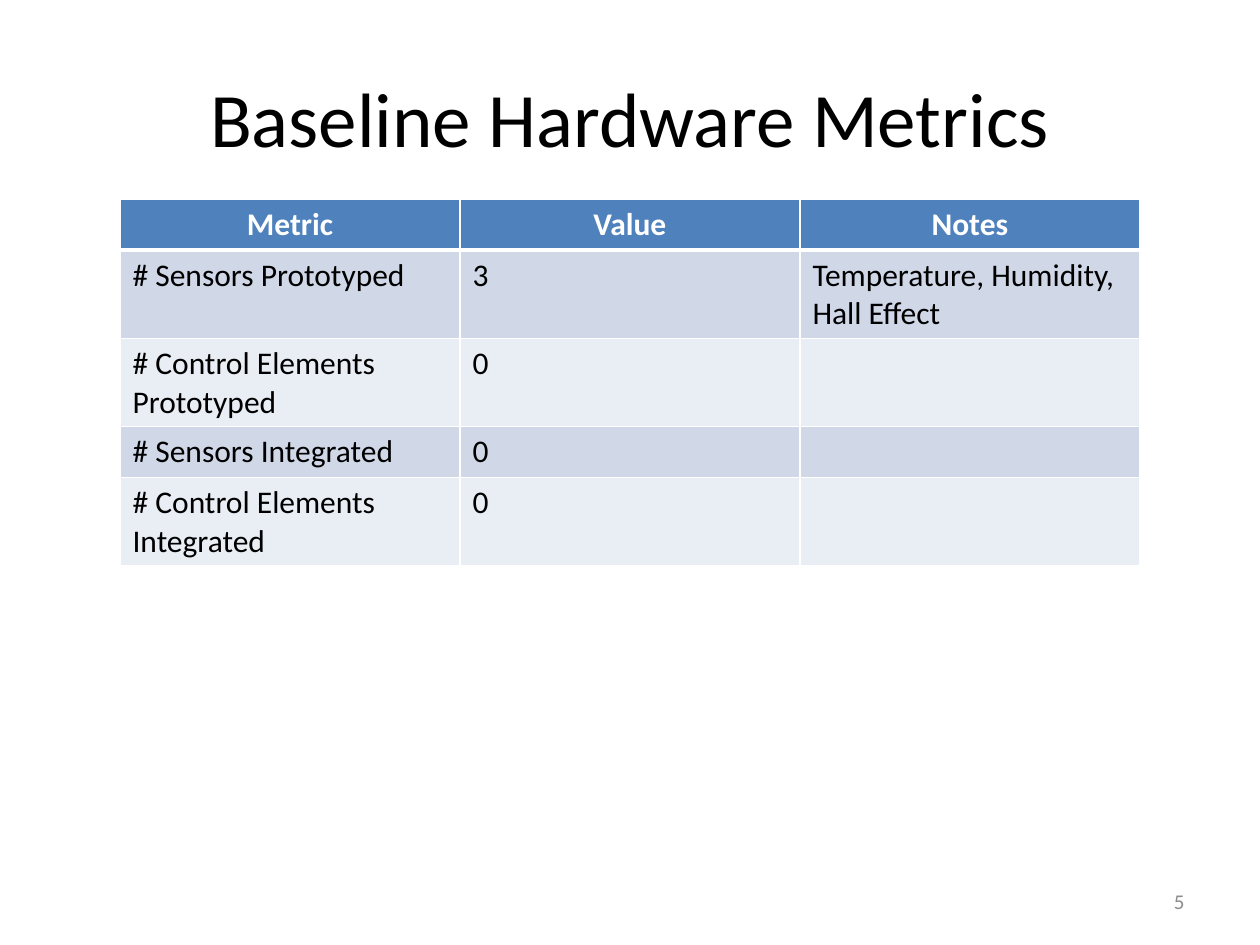
from lxml import etree
from pptx import Presentation
from pptx import util as u
from pptx.dml import color
from pptx.enum import text
from pptx.oxml import ns

PX_PER_INCH = 126
FONT = "Calibri"
WHITE, BLACK, GREY = "FFFFFF", "000000", "8C8C8C"
HEADER_FILL = "4F81BD"
BAND_FILLS = ("D0D8E8", "E9EDF4")
COLUMN_WIDTH, ROW_HEIGHT = 340, 51
METRICS = (
    ("Metric", "Value", "Notes"),
    ("# Sensors Prototyped", "3", "Temperature, Humidity, Hall Effect"),
    ("# Control Elements Prototyped", "0", ""),
    ("# Sensors Integrated", "0", ""),
    ("# Control Elements Integrated", "0", ""),
)


def px(length):
    return u.Emu(round(length * 914400 / PX_PER_INCH))


def rgb(value):
    return color.RGBColor.from_string(value)


def add_run(paragraph, words, size, ink, bold=False):
    run = paragraph.add_run()
    run.text = words
    run.font.name = FONT
    run.font.size = u.Pt(size)
    run.font.bold = bold
    run.font.color.rgb = rgb(ink)


def add_label(slide, box, words, size, ink, align):
    frame = slide.shapes.add_textbox(*map(px, box)).text_frame
    frame.word_wrap = True
    frame.vertical_anchor = text.MSO_ANCHOR.MIDDLE
    frame.paragraphs[0].alignment = align
    add_run(frame.paragraphs[0], words, size, ink)


def set_borders(cell, bottom):
    properties = cell._tc.get_or_add_tcPr()
    for side, points in (("L", 1), ("R", 1), ("T", 1), ("B", bottom)):
        line = etree.SubElement(properties, ns.qn(f"a:ln{side}"), w=str(u.Pt(points)))
        fill = etree.SubElement(line, ns.qn("a:solidFill"))
        etree.SubElement(fill, ns.qn("a:srgbClr"), val=WHITE)


def fill_cell(cell, words, row):
    header = row == 0
    set_borders(cell, 3 if header else 1)
    cell.fill.solid()
    cell.fill.fore_color.rgb = rgb(HEADER_FILL if header else BAND_FILLS[(row - 1) % 2])
    paragraph = cell.text_frame.paragraphs[0]
    paragraph.alignment = text.PP_ALIGN.CENTER if header else text.PP_ALIGN.LEFT
    if words:
        add_run(paragraph, words, 18, WHITE if header else BLACK, header)


def add_metrics_table(slide, left, top):
    rows, columns = len(METRICS), len(METRICS[0])
    box = (left, top, columns * COLUMN_WIDTH, rows * ROW_HEIGHT)
    table = slide.shapes.add_table(rows, columns, *map(px, box)).table
    for column in table.columns:
        column.width = px(COLUMN_WIDTH)
    for row, metric in enumerate(METRICS):
        table.rows[row].height = px(ROW_HEIGHT)
        for column, words in enumerate(metric):
            fill_cell(table.cell(row, column), words, row)


def main():
    deck = Presentation()
    deck.slide_width, deck.slide_height = px(1260), px(945)
    slide = deck.slides.add_slide(deck.slide_layouts[6])
    add_label(slide, (63, 38, 1134, 157), "Baseline Hardware Metrics", 44, BLACK, text.PP_ALIGN.CENTER)
    add_label(slide, (903, 876, 294, 50), "5", 12, GREY, text.PP_ALIGN.RIGHT)
    add_metrics_table(slide, 120, 199)
    deck.save("out.pptx")


if __name__ == "__main__":
    main()
